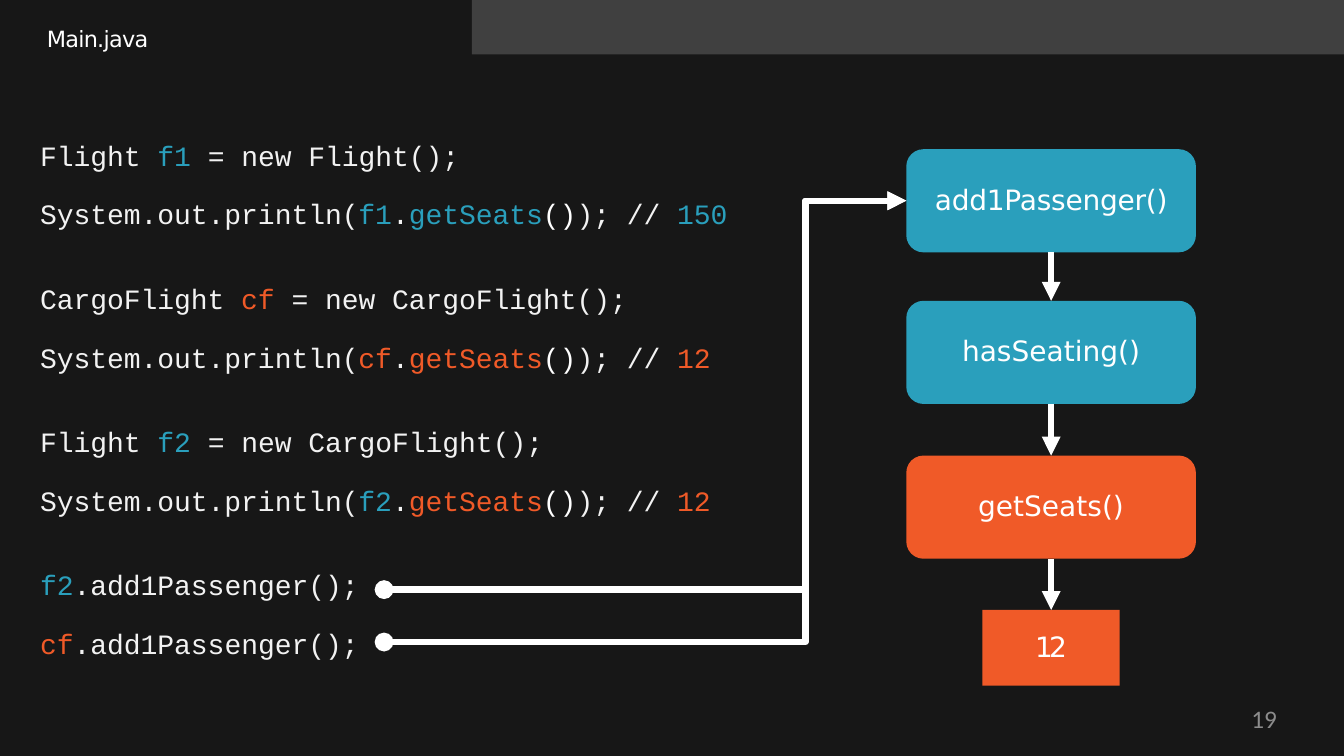
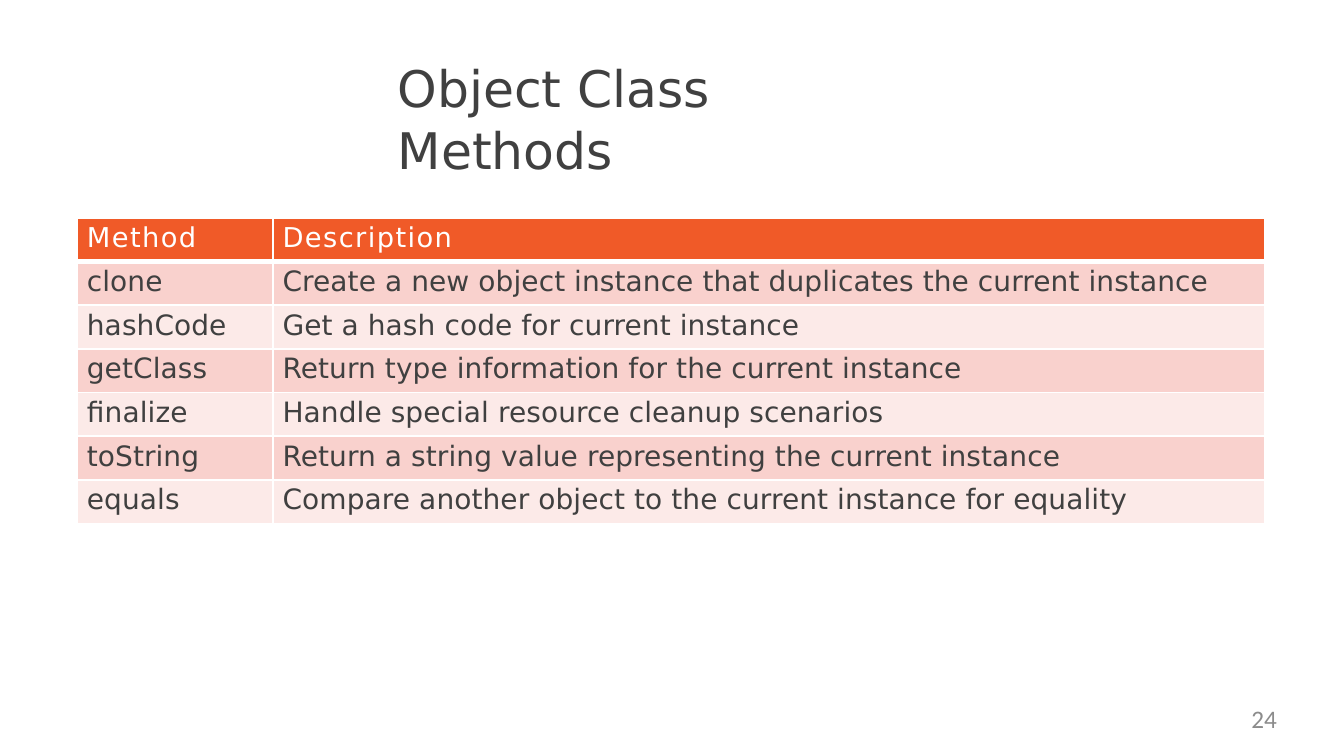
from pptx import Presentation
from pptx.dml.color import RGBColor
from pptx.enum.shapes import MSO_CONNECTOR, MSO_SHAPE
from pptx.enum.text import MSO_ANCHOR, MSO_AUTO_SIZE, PP_ALIGN
from pptx.oxml.ns import qn
from pptx.util import Cm, Pt
from lxml.etree import SubElement

PAGE_WIDTH, PAGE_HEIGHT = 33.87, 19.05
WHITE = "FFFFFF"
DARK = "171717"
GREY = "404040"
CODE_TEXT = "F2F2F2"
PAGE_NUMBER = "8C8C8C"
BLUE = "2A9FBC"
ORANGE = "F05A28"
ROW_TINTS = ("F9D1CD", "FCEAE8")
SANS = "DejaVu Sans"
MONO = "Courier New"
NUMBER_FONT = "Calibri"

CODE_BLOCKS = [
    [
        [("Flight ", CODE_TEXT), ("f1 ", BLUE), ("= new Flight();", CODE_TEXT)],
        [("System.out.println(", CODE_TEXT), ("f1", BLUE), (".", CODE_TEXT),
         ("getSeats", BLUE), ("()", WHITE), ("); // ", CODE_TEXT), ("150", BLUE)],
    ],
    [
        [("CargoFlight ", CODE_TEXT), ("cf ", ORANGE), ("= new CargoFlight();", CODE_TEXT)],
        [("System.out.println(", CODE_TEXT), ("cf", ORANGE), (".", CODE_TEXT),
         ("getSeats", ORANGE), ("()", WHITE), ("); // ", CODE_TEXT), ("12", ORANGE)],
    ],
    [
        [("Flight ", CODE_TEXT), ("f2 ", BLUE), ("= new CargoFlight();", CODE_TEXT)],
        [("System.out.println(", CODE_TEXT), ("f2", BLUE), (".", CODE_TEXT),
         ("getSeats", ORANGE), ("()", WHITE), ("); // ", CODE_TEXT), ("12", ORANGE)],
    ],
    [
        [("f2", BLUE), (".add1Passenger();", CODE_TEXT)],
        [("cf", ORANGE), (".add1Passenger();", CODE_TEXT)],
    ],
]

CALLS = [
    ("add1Passenger()", BLUE, 3.76, -0.2),
    ("hasSeating()", BLUE, 7.58, 0),
    ("getSeats()", ORANGE, 11.48, 0),
]

METHODS = [
    ("Method", "Description"),
    ("clone", "Create a new object instance that duplicates the current instance"),
    ("hashCode", "Get a hash code for current instance"),
    ("getClass", "Return type information for the current instance"),
    ("finalize", "Handle special resource cleanup scenarios"),
    ("toString", "Return a string value representing the current instance"),
    ("equals", "Compare another object to the current instance for equality"),
]


def rgb(colour):
    return RGBColor.from_string(colour)


def add_span(para, text, size, colour, font=SANS, spacing=0):
    span = para.add_run()
    span.text = text
    span.font.name = font
    span.font.size = Pt(size)
    span.font.bold = False
    span.font.color.rgb = rgb(colour)
    if spacing:
        span._r.get_or_add_rPr().set("spc", str(round(spacing * 100)))


def prepare_frame(frame, anchor=MSO_ANCHOR.TOP):
    frame.margin_left = frame.margin_right = 0
    frame.margin_top = frame.margin_bottom = 0
    frame.word_wrap = True
    frame.auto_size = MSO_AUTO_SIZE.NONE
    frame.vertical_anchor = anchor
    return frame


def set_title(page, text, left, top, width, height, size, colour, spacing=0):
    title = page.shapes.title
    title.left, title.top = Cm(left), Cm(top)
    title.width, title.height = Cm(width), Cm(height)
    para = prepare_frame(title.text_frame).paragraphs[0]
    para.alignment = PP_ALIGN.LEFT
    para.line_spacing = 1.02
    add_span(para, text, size, colour, spacing=spacing)


def add_text_box(page, left, top, width, height):
    box = page.shapes.add_textbox(Cm(left), Cm(top), Cm(width), Cm(height))
    return prepare_frame(box.text_frame)


def add_page_number(page, number):
    para = add_text_box(page, 24.38, 17.72, 7.8, 0.97).paragraphs[0]
    para.alignment = PP_ALIGN.RIGHT
    add_span(para, str(number), 18, PAGE_NUMBER, NUMBER_FONT)


def add_code_block(page, top, lines):
    frame = add_text_box(page, 1.01, top, 18, 2.4)
    for index, line in enumerate(lines):
        para = frame.add_paragraph() if index else frame.paragraphs[0]
        if index:
            para.space_before = Pt(18)
        for text, colour in line:
            add_span(para, text, 20, colour, MONO, -0.05)


def add_box(page, kind, left, top, width, height, fill, text="", spacing=0):
    box = page.shapes.add_shape(kind, Cm(left), Cm(top), Cm(width), Cm(height))
    box.shadow.inherit = False
    box.fill.solid()
    box.fill.fore_color.rgb = rgb(fill)
    box.line.fill.background()
    if text:
        frame = prepare_frame(box.text_frame, MSO_ANCHOR.MIDDLE)
        frame.margin_bottom = Cm(0.08)
        para = frame.paragraphs[0]
        para.alignment = PP_ALIGN.CENTER
        add_span(para, text, 20, WHITE, spacing=spacing)
    return box


def add_arrow(page, kind, start=(0, 0), end=(0, 0), dotted=False):
    arrow = page.shapes.add_connector(kind, *(Cm(length) for length in start + end))
    arrow.line.color.rgb = rgb(WHITE)
    arrow.line.width = Pt(4.5)
    properties = arrow._element.spPr
    outline = properties.find(qn("a:ln"))
    if dotted:
        SubElement(outline, qn("a:headEnd"), type="oval")
    SubElement(outline, qn("a:tailEnd"), type="triangle")
    SubElement(properties, qn("a:effectLst"))
    return arrow


def add_elbow_arrow(page, start, bend, end):
    arrow = add_arrow(page, MSO_CONNECTOR.ELBOW, start, end, dotted=True)
    share = round((bend - start[0]) / (end[0] - start[0]) * 100000)
    geometry = arrow._element.spPr.find(qn("a:prstGeom"))
    guides = geometry.find(qn("a:avLst"))
    if guides is None:
        guides = SubElement(geometry, qn("a:avLst"))
    SubElement(guides, qn("a:gd"), name="adj1", fmla=f"val {share}")


def add_call_chain(page):
    left, width, height = 22.84, 7.3, 2.6
    result_width = 3.46
    boxes = [
        add_box(page, MSO_SHAPE.ROUNDED_RECTANGLE, left, top, width, height,
                colour, name, spacing)
        for name, colour, top, spacing in CALLS
    ]
    boxes.append(add_box(page, MSO_SHAPE.RECTANGLE, left + (width - result_width) / 2,
                         15.37, result_width, 1.91, ORANGE, "12", -2.7))
    for upper, lower in zip(boxes, boxes[1:]):
        arrow = add_arrow(page, MSO_CONNECTOR.STRAIGHT)
        arrow.begin_connect(upper, 2)
        arrow.end_connect(lower, 0)
    first_call_middle = CALLS[0][2] + height / 2
    for call_line in (14.86, 16.18):
        add_elbow_arrow(page, (9.68, call_line), 20.3, (left, first_call_middle))


def set_cell_border(cell, side, width):
    properties = cell._tc.get_or_add_tcPr()
    border = SubElement(properties, qn(f"a:ln{side}"), w=str(Pt(width)))
    fill = SubElement(border, qn("a:solidFill"))
    SubElement(fill, qn("a:srgbClr"), val=WHITE)


def fill_cell(cell, text, row):
    is_header = row == 0
    for side in "LRTB":
        under_header = (row, side) in ((0, "B"), (1, "T"))
        set_cell_border(cell, side, 4.25 if under_header else 1.5)
    cell.fill.solid()
    cell.fill.fore_color.rgb = rgb(ORANGE if is_header else ROW_TINTS[(row - 1) % 2])
    cell.margin_left, cell.margin_top = Cm(0.25), Cm(0.1)
    cell.margin_right = cell.margin_bottom = 0
    para = cell.text_frame.paragraphs[0]
    if is_header:
        add_span(para, text, 19.5, WHITE, spacing=1)
    else:
        add_span(para, text, 20, GREY, spacing=0.05)


def add_method_table(page):
    widths, row_height = (4.93, 25), 1.1
    table = page.shapes.add_table(len(METHODS), len(widths), Cm(1.94), Cm(5.49),
                                  Cm(sum(widths)), Cm(row_height * len(METHODS))).table
    for column, width in zip(table.columns, widths):
        column.width = Cm(width)
    for row, texts in enumerate(METHODS):
        table.rows[row].height = Cm(row_height)
        for column, text in enumerate(texts):
            fill_cell(table.cell(row, column), text, row)


def build_code_page(page):
    backdrop = add_box(page, MSO_SHAPE.RECTANGLE, 0, 0, PAGE_WIDTH, PAGE_HEIGHT, DARK)
    band = add_box(page, MSO_SHAPE.RECTANGLE, 11.89, 0, PAGE_WIDTH - 11.89, 1.37, GREY)
    title = page.shapes.title
    for shape in (backdrop, band):
        title._element.addprevious(shape._element)
    set_title(page, "Main.java", 1.18, 0.62, 5, 0.8, 16, WHITE, -0.5)
    for index, lines in enumerate(CODE_BLOCKS):
        add_code_block(page, 3.48 + index * 3.61, lines)
    add_call_chain(page)
    add_page_number(page, 19)


def build_table_page(page):
    set_title(page, "Object Class Methods", 10.02, 1.42, 12.7, 3.2, 36, GREY)
    add_method_table(page)
    add_page_number(page, 24)


def main():
    deck = Presentation()
    deck.slide_width, deck.slide_height = Cm(PAGE_WIDTH), Cm(PAGE_HEIGHT)
    title_only = deck.slide_layouts[5]
    for build in (build_code_page, build_table_page):
        build(deck.slides.add_slide(title_only))
    deck.save("out.pptx")


if __name__ == "__main__":
    main()
